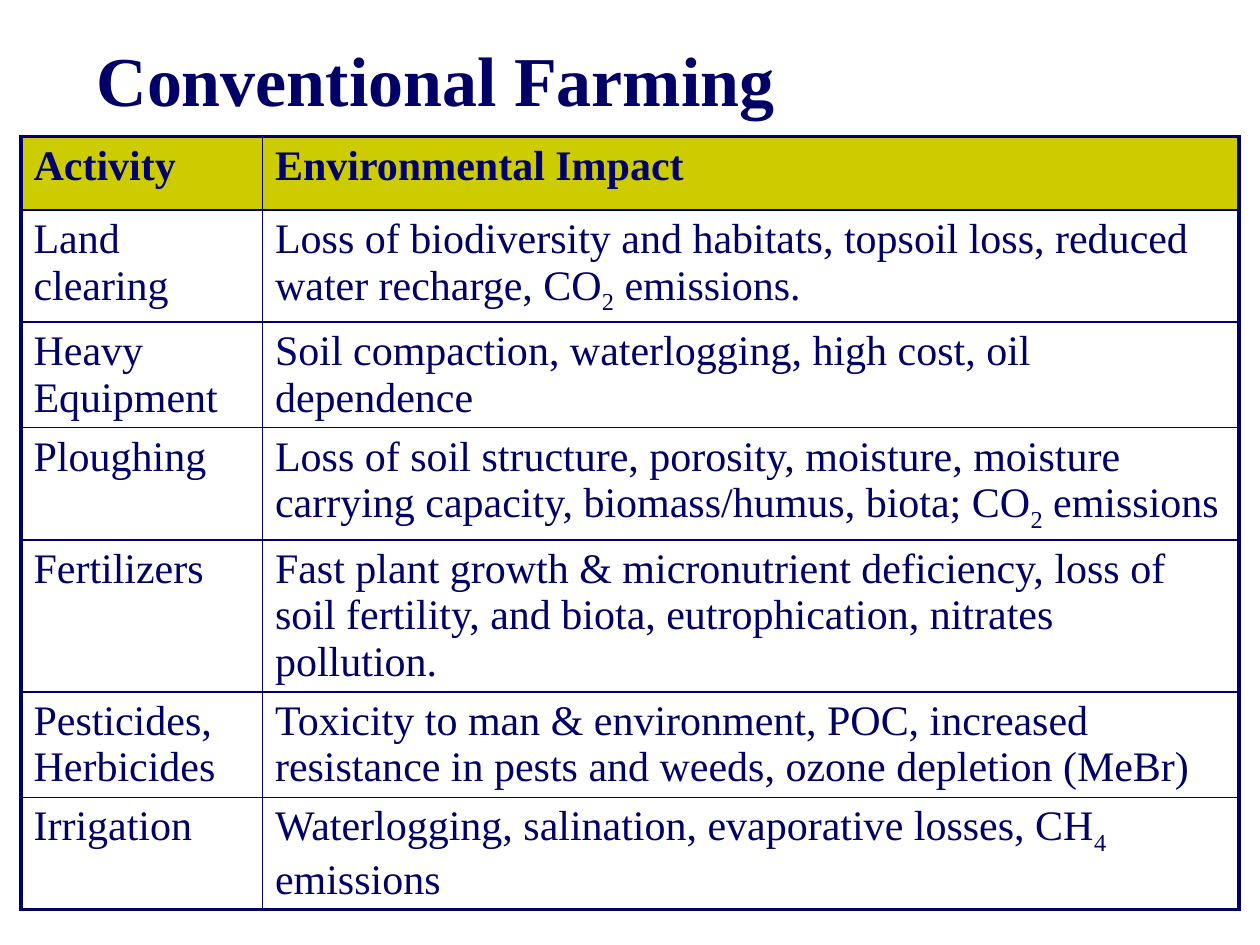
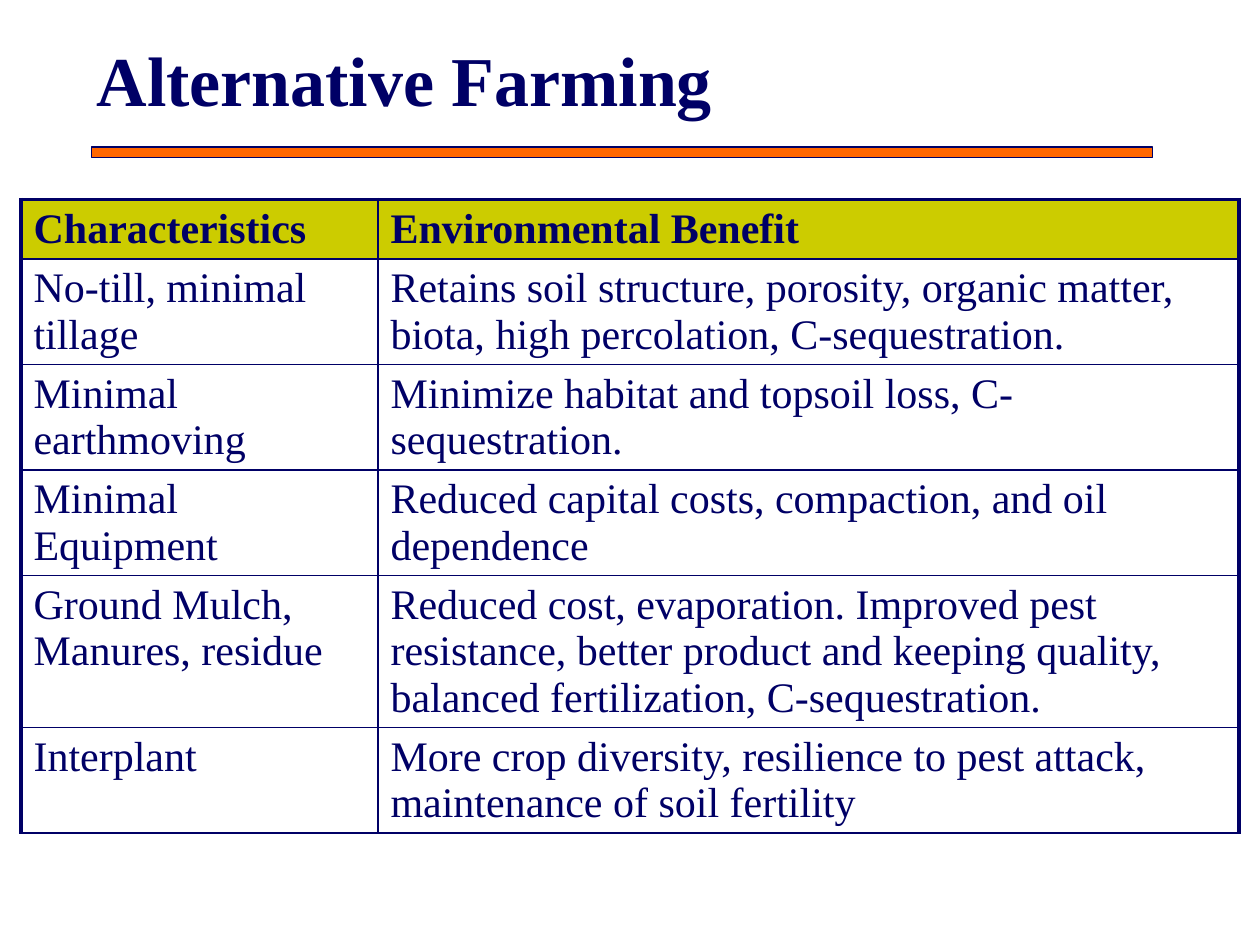
from lxml.etree import SubElement
from pptx import Presentation
from pptx.dml.color import RGBColor
from pptx.enum.shapes import MSO_SHAPE as Preset
from pptx.enum.text import MSO_ANCHOR as Anchor, MSO_AUTO_SIZE as AutoSize, PP_ALIGN as Align
from pptx.oxml.ns import qn
from pptx.util import Pt

NAVY = RGBColor(0x00, 0x00, 0x66)
ORANGE = RGBColor(0xFF, 0x66, 0x00)
OLIVE = RGBColor(0xCC, 0xCC, 0x00)

FONT = "Times New Roman"
TITLE_SIZE, BODY_SIZE = Pt(40), Pt(24)
OUTER, INNER = Pt(2.25), Pt(1)
ROW_HEIGHT = Pt(43)

# Text between underscores is set as a subscript.
IMPACTS = [
    ("Activity", "Environmental Impact"),
    ("Land clearing", "Loss of biodiversity and habitats, topsoil loss, reduced water "
     "recharge, CO_2_ emissions."),
    ("Heavy Equipment", "Soil compaction, waterlogging, high cost, oil dependence"),
    ("Ploughing", "Loss of soil structure, porosity, moisture, moisture carrying capacity, "
     "biomass/humus, biota; CO_2_ emissions"),
    ("Fertilizers", "Fast plant growth & micronutrient deficiency, loss of soil fertility, "
     "and biota, eutrophication, nitrates pollution."),
    ("Pesticides, Herbicides", "Toxicity to man & environment, POC, increased resistance in "
     "pests and weeds, ozone depletion (MeBr)"),
    ("Irrigation", "Waterlogging, salination, evaporative losses, CH_4_ emissions"),
]
BENEFITS = [
    ("Characteristics", "Environmental Benefit"),
    ("No-till, minimal tillage", "Retains soil structure, porosity, organic matter, biota, "
     "high percolation, C-sequestration."),
    ("Minimal earthmoving", "Minimize habitat and topsoil loss, C-sequestration."),
    ("Minimal Equipment", "Reduced capital costs, compaction, and oil dependence"),
    ("Ground Mulch, Manures, residue", "Reduced cost, evaporation. Improved pest resistance, "
     "better product and keeping quality, balanced fertilization, C-sequestration."),
    ("Interplant", "More crop diversity, resilience to pest attack, maintenance of soil "
     "fertility"),
]


def apply(target, **values):
    for attribute, value in values.items():
        setattr(target, attribute, value)


class FarmingDeck:
    def __init__(self):
        self.presentation = Presentation()
        apply(self.presentation, slide_width=Pt(720), slide_height=Pt(540))
        self.layout = self.presentation.slide_layouts.get_by_name("Title Only")
        self.slide = None

    def add_slide(self, heading):
        first = self.slide is None
        self.slide = self.presentation.slides.add_slide(self.layout)
        if first:
            self.rule_layout()
        self.title(heading)

    def rule_layout(self):
        """Put the orange rule on the layout, behind the content of every slide."""
        rule = self.slide.shapes.add_shape(
            Preset.RECTANGLE, Pt(52.5), Pt(84), Pt(606), Pt(6))
        rule.shadow.inherit = False
        rule.fill.solid()
        rule.fill.fore_color.rgb = ORANGE
        rule.line.color.rgb = NAVY
        rule.line.width = Pt(0.75)
        self.layout.placeholders[0].element.addprevious(rule.element)

    def add_text(self, paragraph, text, size, bold):
        for index, part in enumerate(text.split("_")):
            run = paragraph.add_run()
            run.text = part
            apply(run.font, name=FONT, size=size, bold=bold)
            run.font.color.rgb = NAVY
            if index % 2:
                run._r.get_or_add_rPr().set("baseline", "-25000")

    def title(self, heading):
        title = self.slide.shapes.title
        apply(title, left=Pt(48), top=Pt(6), width=Pt(612), height=Pt(78))
        frame = title.text_frame
        apply(frame, word_wrap=True, auto_size=AutoSize.NONE, vertical_anchor=Anchor.MIDDLE)
        frame.paragraphs[0].alignment = Align.LEFT
        self.add_text(frame.paragraphs[0], heading, TITLE_SIZE, True)

    def border(self, cell, **widths):
        """Draw the sides L, R, T and B; they must precede the cell's fill."""
        properties = cell._tc.get_or_add_tcPr()
        for side, width in widths.items():
            line = SubElement(properties, qn(f"a:ln{side}"), w=str(width))
            fill = SubElement(line, qn("a:solidFill"))
            SubElement(fill, qn("a:srgbClr"), val=str(NAVY))

    def table(self, rows, top, column_widths, header_height, bottom):
        table = self.slide.shapes.add_table(
            len(rows), len(column_widths), Pt(12), top,
            sum(column_widths), header_height + ROW_HEIGHT * (len(rows) - 1)).table
        apply(table, first_row=False, horz_banding=False)
        for column, width in zip(table.columns, column_widths):
            column.width = width
        last_row, last_column = len(rows) - 1, len(column_widths) - 1
        for r, texts in enumerate(rows):
            header = r == 0
            table.rows[r].height = header_height if header else ROW_HEIGHT
            for c, text in enumerate(texts):
                cell = table.cell(r, c)
                self.border(cell,
                            L=OUTER if c == 0 else INNER,
                            R=OUTER if c == last_column else INNER,
                            T=OUTER if header else INNER,
                            B=bottom if r == last_row else INNER)
                if header:
                    cell.fill.solid()
                    cell.fill.fore_color.rgb = OLIVE
                else:
                    cell.fill.background()
                self.add_text(cell.text_frame.paragraphs[0], text, BODY_SIZE, header)


def main():
    deck = FarmingDeck()
    deck.add_slide("Conventional Farming")
    deck.table(IMPACTS, Pt(78), (Pt(138), Pt(558)), Pt(42), OUTER)
    deck.add_slide("Alternative Farming")
    deck.table(BENEFITS, Pt(114), (Pt(204), Pt(492)), Pt(34), INNER)
    deck.presentation.save("out.pptx")


if __name__ == "__main__":
    main()
